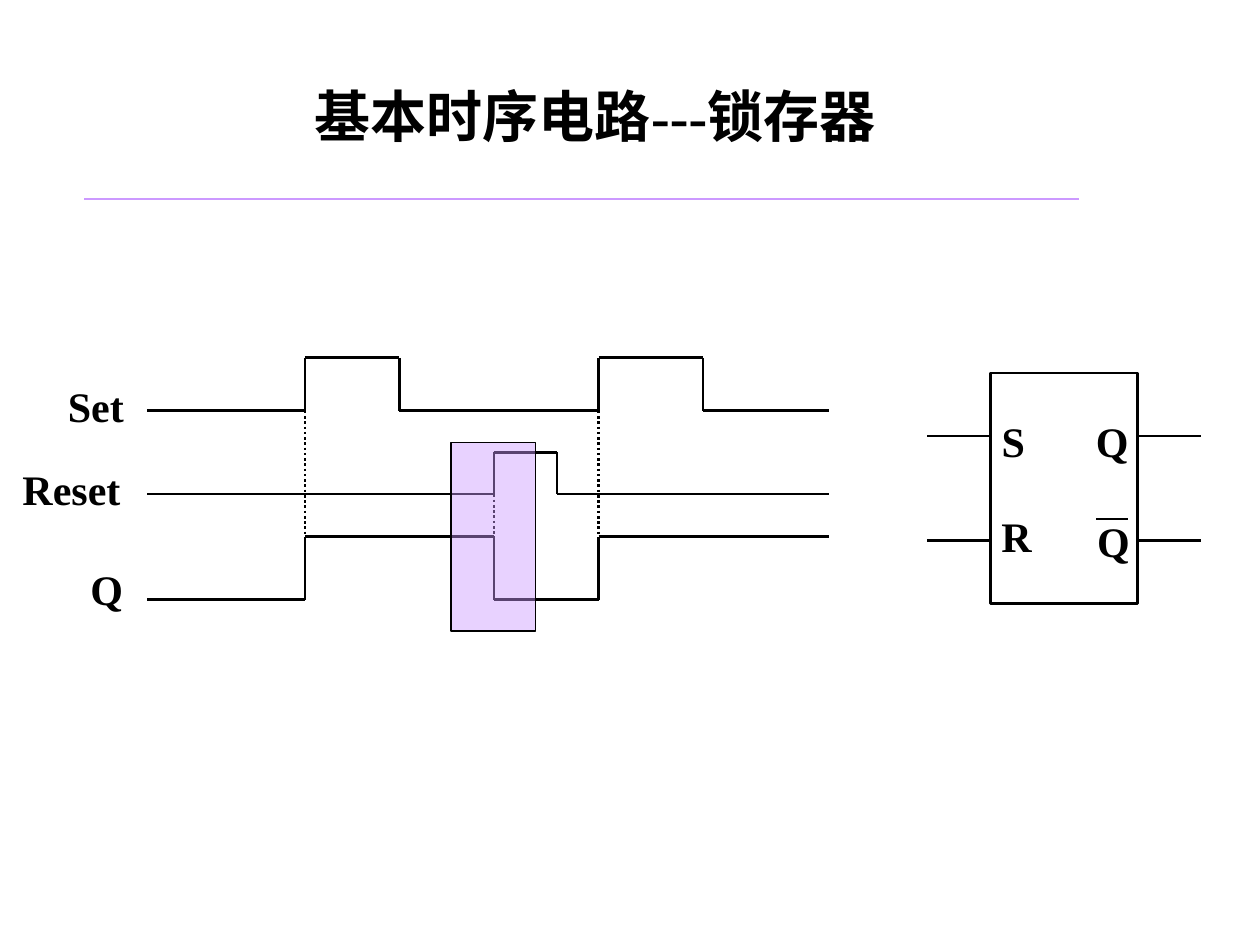
from dataclasses import dataclass
from itertools import pairwise

from lxml import etree
from pptx import Presentation
from pptx.dml.color import RGBColor
from pptx.enum.dml import MSO_LINE
from pptx.enum.shapes import MSO_CONNECTOR, MSO_SHAPE
from pptx.enum.text import MSO_AUTO_SIZE
from pptx.oxml.ns import qn
from pptx.util import Inches, Pt

STRAIGHT = MSO_CONNECTOR.STRAIGHT
RECTANGLE = MSO_SHAPE.RECTANGLE
DOTTED = MSO_LINE.ROUND_DOT
FIT_SHAPE = MSO_AUTO_SIZE.SHAPE_TO_FIT_TEXT
Point = tuple[float, float]


@dataclass(frozen=True)
class Theme:
    """Colours, font, type sizes and line widths."""
    ink: str = "000000"
    accent: str = "CC99FF"
    font: str = "Times New Roman"
    title_size: float = 32
    label_size: float = 24
    thin: float = 0.75
    rule: float = 1
    stroke: float = 1.5


@dataclass(frozen=True)
class Label:
    """A signal or pin name and its box."""
    text: str
    left: float
    top: float
    width: float


@dataclass(frozen=True)
class Wave:
    """A signal that starts low and toggles at each edge."""
    low: float
    high: float
    edges: tuple[float, ...]


@dataclass(frozen=True)
class Marker:
    """A dotted line from a cause down to its effect."""
    x: float
    top: float


THEME = Theme()
WAVE_START, WAVE_END = 1.17, 6.58
SET_1, RESET_1, SET_2 = 2.42, 3.92, 4.75
MARKER_HEIGHT = 1.08
WAVES = (
    Wave(3.26, 2.84, (SET_1, 3.17, SET_2, 5.58)),
    Wave(3.92, 3.59, (RESET_1, 4.42)),
    Wave(4.76, 4.26, (SET_1, RESET_1, SET_2)),
)
MARKERS = (Marker(SET_1, 3.26), Marker(RESET_1, 3.59), Marker(SET_2, 3.26))
LABELS = (
    Label("Set", 0.44, 2.97, 0.65),
    Label("Reset", 0.08, 3.63, 0.98),
    Label("Q", 0.62, 4.42, 0.46),
    Label("S", 7.85, 3.25, 0.39),
    Label("R", 7.85, 4, 0.44),
    Label("Q", 8.6, 3.25, 0.46),
    Label("Q", 8.61, 4.04, 0.46),
)
LATCH = (7.86, 2.96, 1.17, 1.83)
PIN_ROWS = (3.46, 4.29)
PIN_LENGTH = 0.5


def add_line(page, start: Point, end: Point, *, color: str = THEME.ink,
             width: float = THEME.stroke, dash=None) -> None:
    """Draw a straight line without a shadow."""
    line = page.shapes.add_connector(
        STRAIGHT, *(Inches(value) for value in (*start, *end)))
    line.line.color.rgb = RGBColor.from_string(color)
    line.line.width = Pt(width)
    if dash is not None:
        line.line.dash_style = dash
    etree.SubElement(line.element.spPr, qn("a:effectLst"))


def add_text(page, text: str, left: float, top: float, width: float,
             height: float, *, size: float, wrap: bool = False) -> None:
    """Place bold text in a box that grows to fit."""
    box = page.shapes.add_textbox(
        *(Inches(value) for value in (left, top, width, height)))
    frame = box.text_frame
    frame.word_wrap = wrap
    frame.auto_size = FIT_SHAPE
    span = frame.paragraphs[0].add_run()
    span.text = text
    span.font.name = THEME.font
    span.font.size = Pt(size)
    span.font.bold = True
    span.font.color.rgb = RGBColor.from_string(THEME.ink)


def add_box(page, bounds: tuple[float, ...], *, width: float,
            fill: str | None = None, opacity: int = 100) -> None:
    """Draw an outlined rectangle, optionally with a translucent fill."""
    box = page.shapes.add_shape(
        RECTANGLE, *(Inches(value) for value in bounds))
    box.shadow.inherit = False
    box.line.color.rgb = RGBColor.from_string(THEME.ink)
    box.line.width = Pt(width)
    if fill is None:
        box.fill.background()
        return
    box.fill.solid()
    box.fill.fore_color.rgb = RGBColor.from_string(fill)
    color = box.element.spPr.find(qn("a:solidFill")).find(qn("a:srgbClr"))
    etree.SubElement(color, qn("a:alpha"), val=str(opacity * 1000))


def add_wave(page, wave: Wave) -> None:
    """Draw a signal as level and edge segments."""
    level, other = wave.low, wave.high
    points = [(WAVE_START, level)]
    for edge in wave.edges:
        points += [(edge, level), (edge, other)]
        level, other = other, level
    points.append((WAVE_END, level))
    for start, end in pairwise(points):
        add_line(page, start, end)


def add_latch(page) -> None:
    """Draw the latch symbol, its pins and the bar over the inverted output."""
    add_box(page, LATCH, width=THEME.stroke)
    left, right = LATCH[0], LATCH[0] + LATCH[2]
    for start in (left - PIN_LENGTH, right):
        for row in PIN_ROWS:
            add_line(page, (start, row), (start + PIN_LENGTH, row))
    add_line(page, (8.7, 4.12), (8.95, 4.12))


def build() -> None:
    """Build and save the slide."""
    deck = Presentation()
    deck.slide_width, deck.slide_height = Inches(10), Inches(7.5)
    page = deck.slides.add_slide(deck.slide_layouts[6])
    add_line(page, (0.67, 1.58), (8.56, 1.58),
             color=THEME.accent, width=THEME.rule)
    add_text(page, "基本时序电路---锁存器", 2.4, 0.6, 4.89, 0.64,
             size=THEME.title_size, wrap=True)
    for wave in WAVES:
        add_wave(page, wave)
    for marker in MARKERS:
        add_line(page, (marker.x, marker.top),
                 (marker.x, marker.top + MARKER_HEIGHT), dash=DOTTED)
    add_latch(page)
    for label in LABELS:
        add_text(page, label.text, label.left, label.top, label.width, 0.5,
                 size=THEME.label_size)
    add_box(page, (3.58, 3.51, 0.67, 1.5), width=THEME.thin,
            fill=THEME.accent, opacity=44)
    deck.save("out.pptx")


build()
